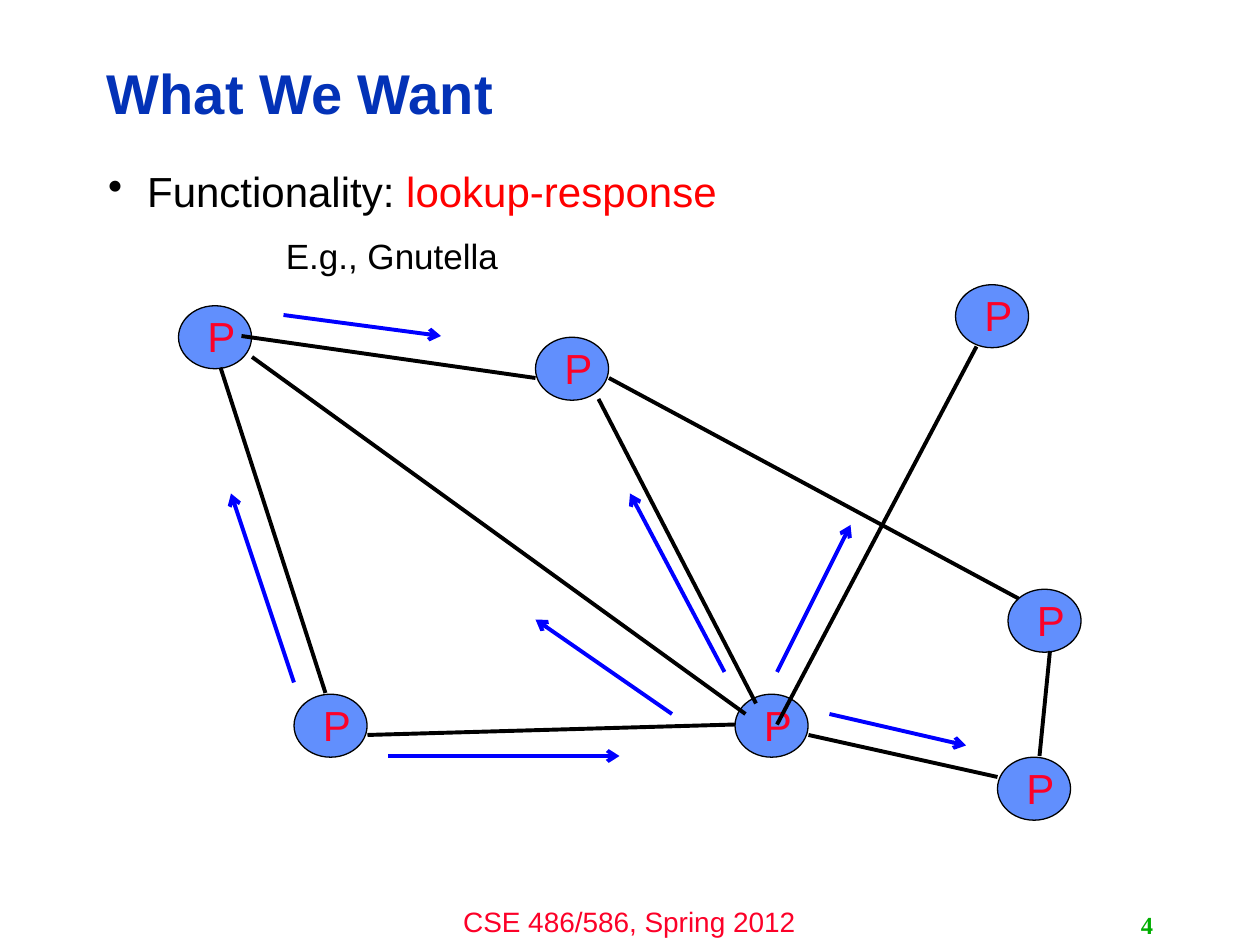
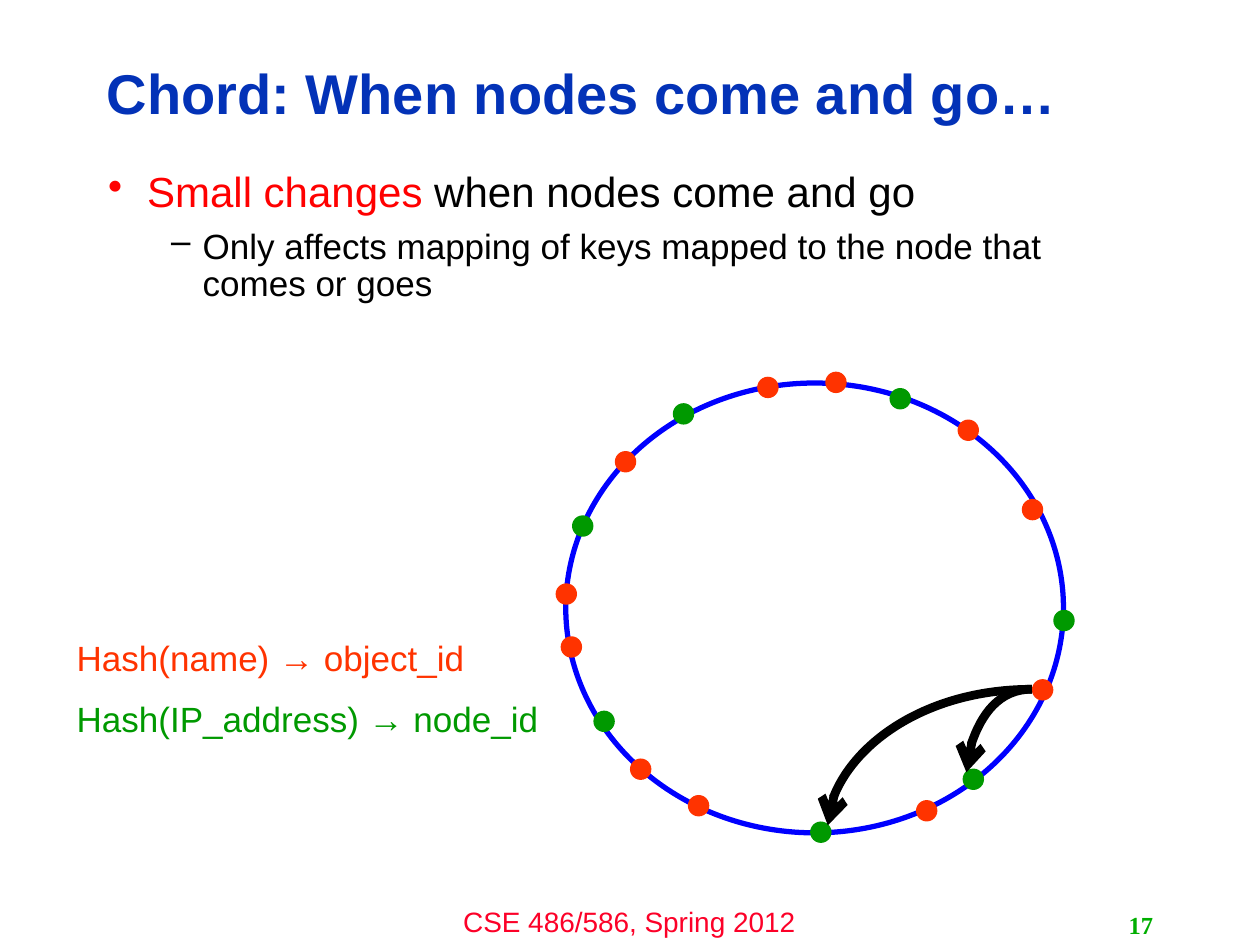
"""Build two lecture slides on peer-to-peer lookup."""
from lxml.etree import SubElement
from pptx import Presentation
from pptx.dml.color import RGBColor
from pptx.enum.shapes import MSO_CONNECTOR, MSO_SHAPE
from pptx.enum.text import MSO_ANCHOR, PP_ALIGN
from pptx.oxml.ns import qn
from pptx.util import Inches, Pt

BLACK = RGBColor(0x00, 0x00, 0x00)
NAVY = RGBColor(0x03, 0x32, 0xB7)
BLUE = RGBColor(0x00, 0x00, 0xFF)
SKY = RGBColor(0x61, 0x8F, 0xFD)
RED = RGBColor(0xFF, 0x00, 0x00)
ROSE = RGBColor(0xFC, 0x01, 0x28)
ORANGE = RGBColor(0xFF, 0x33, 0x00)
GREEN = RGBColor(0x00, 0x99, 0x00)
LIME = RGBColor(0x00, 0xAE, 0x00)

FOOTER = "CSE 486/586, Spring 2012"
LEVELS = [("•", 24, 0.31, 0.31), ("–", 20, 0.75, 0.25)]

WANT = {
    "title": "What We Want",
    "number": "4",
    "body": [(0, [("Functionality: ", BLACK), ("lookup-response", RED)])],
}
CHORD = {
    "title": "Chord: When nodes come and go…",
    "number": "17",
    "body": [
        (0, [("Small changes", RED), (" when nodes come and go", BLACK)]),
        (1, [("Only affects mapping of keys mapped to the node that comes or goes", BLACK)]),
    ],
}

UNIT = 1 / 12
PEERS = [(70, 66), (17, 29), (96, 56), (28, 66), (51, 32), (91, 27), (95, 72)]
LINKS = [
    (51, 36, 23, 32), (21, 35, 31, 66), (58, 36, 97, 57),
    (24, 34, 71, 68), (57, 38, 72, 67), (35, 70, 70, 69),
    (93, 33, 74, 69), (95, 74, 77, 70), (99, 72, 100, 62),
]
QUERIES = [
    (37, 72, 59, 72), (64, 68, 51, 59), (69, 64, 60, 47), (74, 64, 81, 50),
    (28, 65, 22, 47), (27, 30, 42, 32), (79, 68, 92, 71),
]

DOT = 0.17
KEYS = [
    (7.6, 3.33), (7.27, 6.35), (5.46, 6.31), (8.11, 3.96), (8.19, 5.39),
    (6.55, 2.95), (6.01, 2.99), (4.88, 3.58), (4.41, 4.63), (4.45, 5.05), (5, 6.02),
]
NODES = [
    (8.36, 4.84), (4.54, 4.09), (7.64, 6.1), (5.34, 3.2),
    (4.71, 5.64), (6.43, 6.52), (7.06, 3.08),
]
HASHES = [("Hash(name) → object_id", ORANGE), ("Hash(IP_address) → node_id", GREEN)]
START = (8.19, 5.47)
MOVES = [(7.67, 6.13), (6.57, 6.55)]


def style(run, size, color, face="Arial", bold=False):
    font = run.font
    font.size, font.name, font.bold = Pt(size), face, bold
    font.color.rgb = color


def label(shapes, box, lines, size, align=PP_ALIGN.LEFT, wrap=False,
          anchor=MSO_ANCHOR.TOP, face="Arial", bold=False):
    frame = shapes.add_textbox(*map(Inches, box)).text_frame
    frame.word_wrap, frame.vertical_anchor = wrap, anchor
    frame.text = "\n".join(text for text, _ in lines)
    for i, (para, (_, color)) in enumerate(zip(frame.paragraphs, lines)):
        para.alignment = align
        para.space_before = Pt(11 if i else 0)
        style(para.runs[0], size, color, face, bold)
    return frame


def oval(shapes, box, fill=None, line=None, width=0.75):
    shape = shapes.add_shape(MSO_SHAPE.OVAL, *map(Inches, box))
    shape.shadow.inherit = False
    if fill is None:
        shape.fill.background()
    else:
        shape.fill.solid()
        shape.fill.fore_color.rgb = fill
    if line is None:
        shape.line.fill.background()
    else:
        shape.line.color.rgb, shape.line.width = line, Pt(width)


def wire(shapes, ends, color, width=2.25, head=False, kind=MSO_CONNECTOR.STRAIGHT):
    line = shapes.add_connector(kind, *map(Inches, ends))
    line.line.color.rgb, line.line.width = color, Pt(width)
    if head:
        SubElement(line.line._get_or_add_ln(), qn("a:tailEnd"), type="arrow")
    SubElement(line._element.spPr, qn("a:effectLst"))
    return line


def bend(shapes, start, end):
    ends = (end[0], end[1], start[0], start[1])
    line = wire(shapes, ends, BLACK, 5, True, MSO_CONNECTOR.CURVE)
    props = line._element.spPr
    props.find(qn("a:xfrm")).set("rot", "10800000")
    props.find(qn("a:prstGeom")).set("prst", "curvedConnector2")


def outline(shapes, body):
    frame = shapes.add_textbox(*map(Inches, (0.76, 1.31, 8.4, 5.39))).text_frame
    frame.word_wrap = True
    for i, (level, parts) in enumerate(body):
        para = frame.add_paragraph() if i else frame.paragraphs[0]
        mark, size, left, hang = LEVELS[level]
        para.level, para.line_spacing = level, 0.9
        para.space_before = Pt(7 if i else 0)
        props = para._p.get_or_add_pPr()
        props.set("marL", str(Inches(left)))
        props.set("indent", str(-Inches(hang)))
        SubElement(props, qn("a:buChar"), char=mark)
        for text, color in parts:
            run = para.add_run()
            run.text = text
            style(run, size, color)


def base(deck, page):
    shapes = deck.slides.add_slide(deck.slide_layouts[6]).shapes
    label(shapes, (3.33, 7.13, 3.33, 0.37), [(FOOTER, ROSE)], 16, PP_ALIGN.CENTER, True)
    title = label(shapes, (0.75, 0.36, 7.98, 0.81), [(page["title"], NAVY)], 32,
                  wrap=True, anchor=MSO_ANCHOR.MIDDLE, bold=True)
    title.paragraphs[0].line_spacing = 0.9
    outline(shapes, page["body"])
    label(shapes, (7.17, 7.18, 2.08, 0.32), [(page["number"], LIME)], 14,
          PP_ALIGN.RIGHT, True, MSO_ANCHOR.MIDDLE, "Times New Roman", True)
    return shapes


def draw_want(deck):
    shapes = base(deck, WANT)
    for col, row in PEERS:
        x, y = col * UNIT, row * UNIT
        peer = shapes.add_group_shape().shapes
        oval(peer, (x, y + 0.01, 0.58, 0.5), SKY, BLACK)
        label(peer, (x + 0.13, y, 0.39, 0.5), [("P", ROSE)], 24)
    for group, color, head in [(LINKS, BLACK, False), (QUERIES, BLUE, True)]:
        for ends in group:
            wire(shapes, [n * UNIT for n in ends], color, head=head)
    label(shapes, (2.17, 1.81, 1.9, 0.44), [("E.g., Gnutella", BLACK)], 20)


def draw_chord(deck):
    shapes = base(deck, CHORD)
    oval(shapes, (4.49, 3.04, 3.95, 3.57), line=BLUE, width=3)
    for group, color in [(KEYS, ORANGE), (NODES, GREEN)]:
        for x, y in group:
            oval(shapes, (x, y, DOT, DOT), color)
    label(shapes, (0.51, 5, 3.89, 0.94), HASHES, 20)
    for end in MOVES:
        bend(shapes, START, end)


def main():
    deck = Presentation()
    deck.slide_width, deck.slide_height = Inches(10), Inches(7.5)
    draw_want(deck)
    draw_chord(deck)
    deck.save("out.pptx")


if __name__ == "__main__":
    main()
